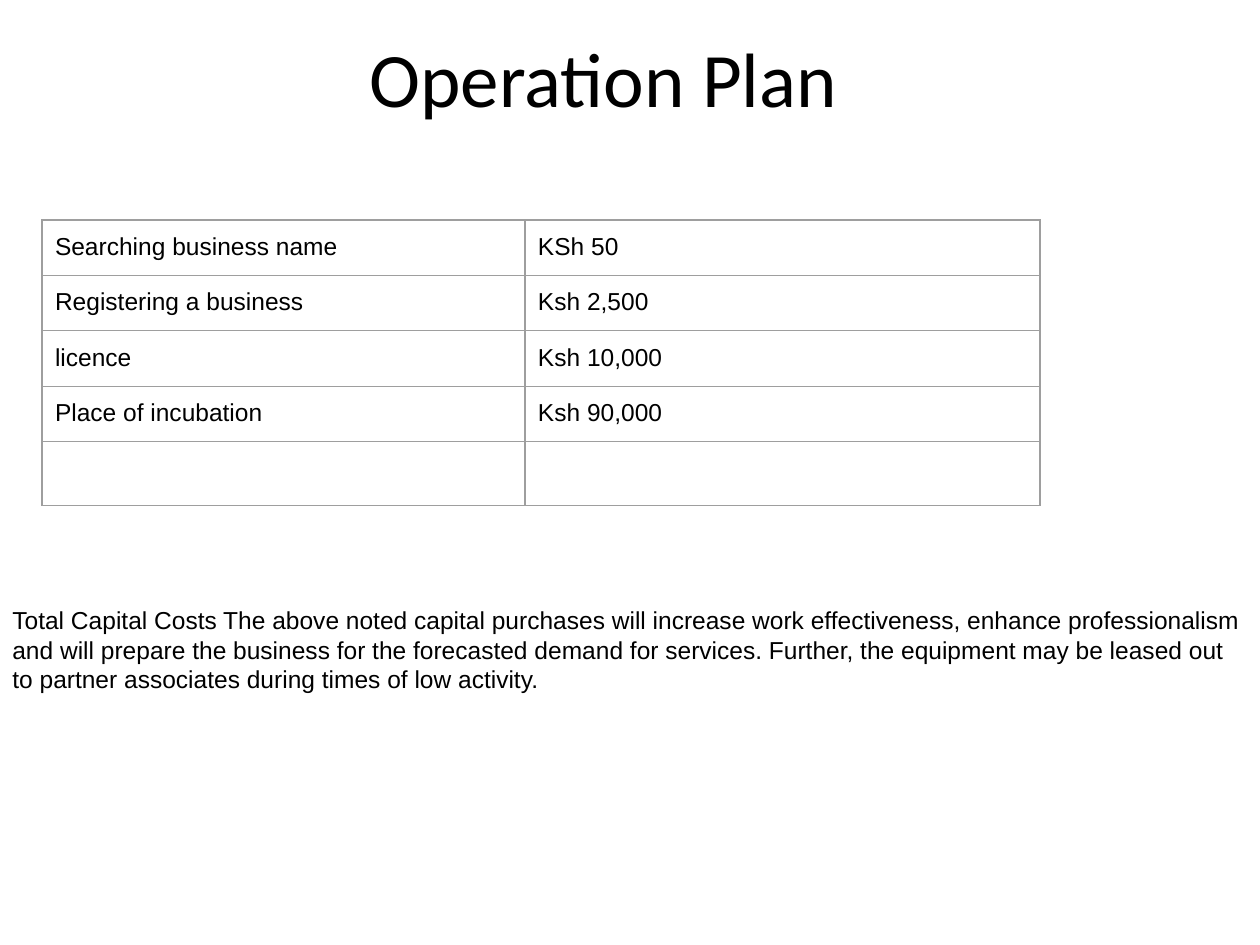
from lxml.etree import SubElement
from pptx import Presentation
from pptx.dml.color import RGBColor
from pptx.enum.text import MSO_ANCHOR, PP_ALIGN
from pptx.oxml.ns import qn
from pptx.util import Emu, Pt

PX_PER_INCH = 126
BLACK = RGBColor(0x00, 0x00, 0x00)
BORDER = RGBColor(0x9E, 0x9E, 0x9E)

TITLE_FORMAT = {"name": "Calibri", "size": Pt(44)}
BODY_FORMAT = {"name": "Arial", "size": Pt(14)}

COSTS = [
    ("Searching business name", "KSh 50"),
    ("Registering a business", "Ksh 2,500"),
    ("licence", "Ksh 10,000"),
    ("Place of incubation", "Ksh 90,000"),
    ("", ""),
]
COLUMN_WIDTHS = (483, 515)
ROW_HEIGHTS = (54, 54, 54, 54, 62)
SUMMARY = (
    "Total Capital Costs The above noted capital purchases will increase work "
    "effectiveness, enhance professionalism and will prepare the business for the "
    "forecasted demand for services. Further, the equipment may be leased out to "
    "partner associates during times of low activity."
)


def px(length):
    return Emu(round(length * 914400 / PX_PER_INCH))


def write_text(frame, text, font_format, align=PP_ALIGN.LEFT):
    para = frame.paragraphs[0]
    para.alignment = align
    span = para.add_run()
    span.text = text
    for name, value in font_format.items():
        setattr(span.font, name, value)
    span.font.color.rgb = BLACK


def add_text(page, bounds, text, font_format, align=PP_ALIGN.LEFT, **frame_format):
    box = page.shapes.add_textbox(*map(px, bounds))
    box.text_frame.word_wrap = True
    for name, value in frame_format.items():
        setattr(box.text_frame, name, value)
    write_text(box.text_frame, text, font_format, align)


def style_cell(cell):
    for side in ("left", "right", "top", "bottom"):
        setattr(cell, f"margin_{side}", px(13))
    # Borders must come before the fill in the cell properties
    properties = cell._tc.get_or_add_tcPr()
    for edge in ("a:lnL", "a:lnR", "a:lnT", "a:lnB"):
        line = SubElement(properties, qn(edge), w=str(Pt(0.75)))
        fill = SubElement(line, qn("a:solidFill"))
        SubElement(fill, qn("a:srgbClr"), val=str(BORDER))
    cell.fill.background()


def add_cost_table(page, left, top):
    bounds = (left, top, sum(COLUMN_WIDTHS), sum(ROW_HEIGHTS))
    table = page.shapes.add_table(
        len(COSTS), len(COLUMN_WIDTHS), *map(px, bounds)
    ).table
    table.first_row = table.horz_banding = False
    for column, width in zip(table.columns, COLUMN_WIDTHS):
        column.width = px(width)
    for row, height, texts in zip(table.rows, ROW_HEIGHTS, COSTS):
        row.height = px(height)
        for cell, text in zip(row.cells, texts):
            style_cell(cell)
            if text:
                write_text(cell.text_frame, text, BODY_FORMAT)


def main():
    deck = Presentation()
    deck.slide_width, deck.slide_height = px(1260), px(945)
    page = deck.slides.add_slide(deck.slide_layouts[6])

    # Title
    add_text(page, (63, 38, 1081, 78), "Operation Plan", TITLE_FORMAT,
             PP_ALIGN.CENTER, vertical_anchor=MSO_ANCHOR.MIDDLE,
             margin_top=0, margin_bottom=0)
    # Start-up costs
    add_cost_table(page, 42, 220)
    # Closing remark
    add_text(page, (0, 599, 1260, 102), SUMMARY, BODY_FORMAT)

    deck.save("out.pptx")


if __name__ == "__main__":
    main()
